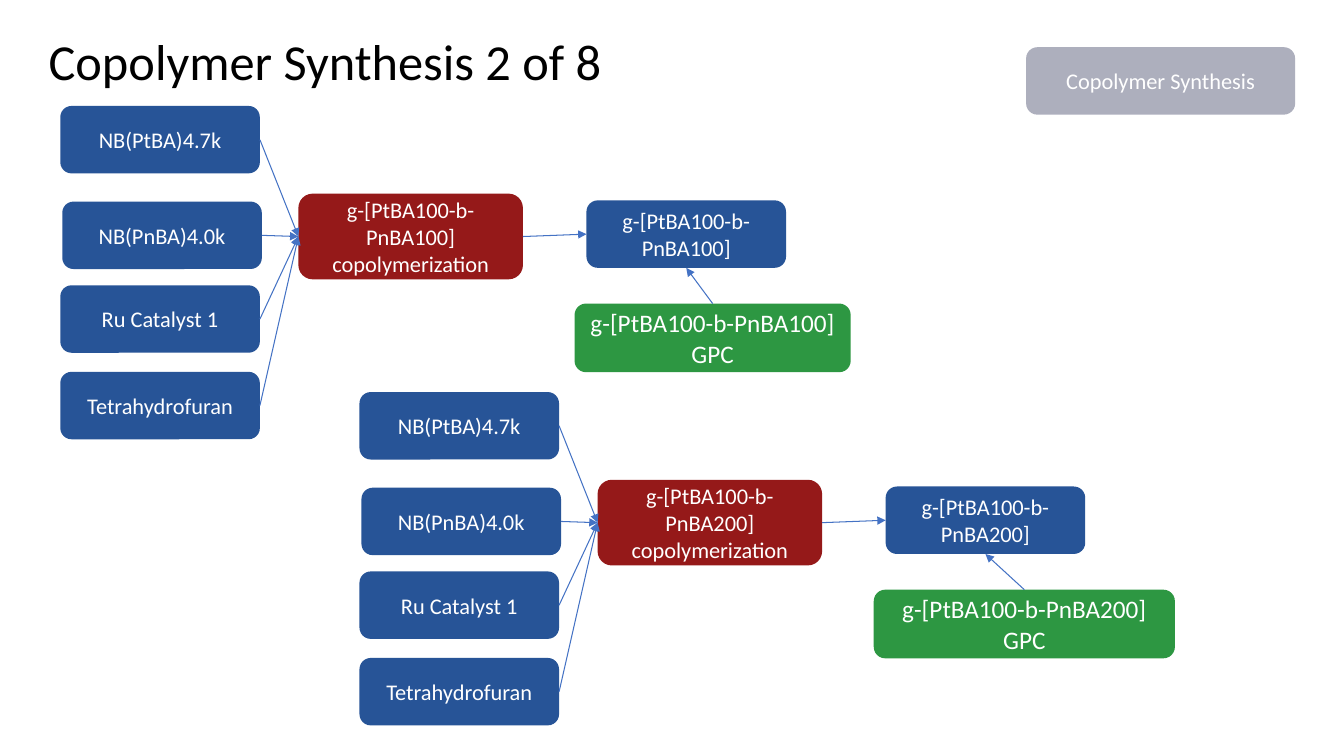
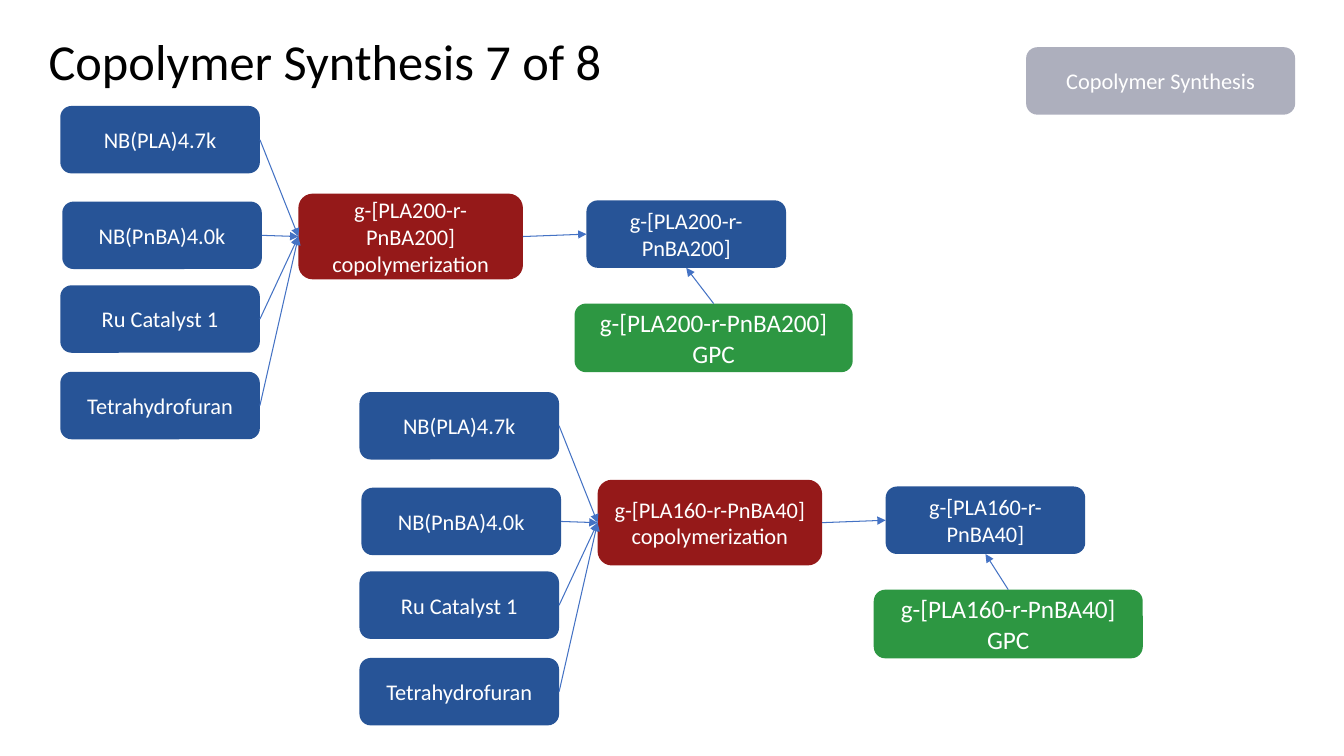
from dataclasses import dataclass

from pptx import Presentation
from pptx.dml.color import RGBColor
from pptx.enum.shapes import MSO_CONNECTOR, MSO_SHAPE
from pptx.enum.text import MSO_ANCHOR, MSO_AUTO_SIZE, PP_ALIGN
from pptx.oxml.ns import qn
from pptx.util import Cm, Pt
from lxml.etree import SubElement


@dataclass(frozen=True)
class Theme:
    font: str = "Calibri"
    ink: str = "000000"
    label: str = "FFFFFF"
    material: str = "275497"
    process: str = "951919"
    measurement: str = "2D9742"
    section: str = "ADAFBD"
    arrow: str = "4472C4"
    title_size: int = 36
    label_size: int = 16
    measurement_size: int = 18
    arrow_width: float = 0.75


THEME = Theme()
TITLE_ONLY = 5
TOP, LEFT, BOTTOM, RIGHT = range(4)

MATERIAL_SIZE = (5.03, 1.7)
PROCESS_SIZE = (5.66, 2.16)
MEASUREMENT_HEIGHT = 1.73
REACTANT_SPOTS = [(1.52, 2.67), (1.57, 5.08), (1.52, 7.19), (1.52, 9.37)]
PROCESS_SPOT = (7.52, 4.88)
PRODUCT_SPOT = (14.78, 5.05)
MEASUREMENT_SPOT = (14.48, 7.65)
SCHEME_STEP = (7.54, 7.21)

SLIDES = [
    ("Copolymer Synthesis 2 of 8", "NB(PtBA)4.7k",
     [("g-[PtBA100-b-PnBA100]", 6.96), ("g-[PtBA100-b-PnBA200]", 7.59)]),
    ("Copolymer Synthesis 7 of 8", "NB(PLA)4.7k",
     [("g-[PLA200-r-PnBA200]", 7.01), ("g-[PLA160-r-PnBA40]", 6.78)]),
]


def style_text(frame, size, color, align):
    for paragraph in frame.paragraphs:
        paragraph.alignment = align
        paragraph.font.name = THEME.font
        paragraph.font.size = Pt(size)
        paragraph.font.color.rgb = RGBColor.from_string(color)


def set_title(slide, text):
    title = slide.shapes.title
    title.left, title.top, title.width, title.height = map(Cm, (0.97, 0.74, 29.21, 1.7))
    frame = title.text_frame
    frame.text = text
    frame.auto_size = MSO_AUTO_SIZE.NONE
    frame.vertical_anchor = MSO_ANCHOR.BOTTOM
    frame.paragraphs[0].line_spacing = 0.9
    style_text(frame, THEME.title_size, THEME.ink, PP_ALIGN.LEFT)


def add_box(slide, text, spot, size, fill, text_size=THEME.label_size):
    box = slide.shapes.add_shape(MSO_SHAPE.ROUNDED_RECTANGLE, *map(Cm, (*spot, *size)))
    box.shadow.inherit = False
    box.fill.solid()
    box.fill.fore_color.rgb = RGBColor.from_string(fill)
    box.line.fill.background()
    frame = box.text_frame
    frame.text = text
    frame.word_wrap = True
    frame.vertical_anchor = MSO_ANCHOR.MIDDLE
    style_text(frame, text_size, THEME.label, PP_ALIGN.CENTER)
    return box


def add_arrow(slide, source, source_side, target, target_side):
    arrow = slide.shapes.add_connector(MSO_CONNECTOR.STRAIGHT, 0, 0, 0, 0)
    arrow.begin_connect(source, source_side)
    arrow.end_connect(target, target_side)
    arrow.line.color.rgb = RGBColor.from_string(THEME.arrow)
    arrow.line.width = Pt(THEME.arrow_width)
    SubElement(arrow.line._get_or_add_ln(), qn("a:tailEnd"), type="triangle")
    SubElement(arrow._element.spPr, qn("a:effectLst"))


def add_scheme(slide, index, macromonomer, copolymer, measurement_width):
    def shifted(spot):
        return tuple(start + index * step for start, step in zip(spot, SCHEME_STEP))

    process = add_box(slide, f"{copolymer}\ncopolymerization", shifted(PROCESS_SPOT),
                      PROCESS_SIZE, THEME.process)
    reactants = [macromonomer, "NB(PnBA)4.0k", "Ru Catalyst 1", "Tetrahydrofuran"]
    for name, spot in zip(reactants, REACTANT_SPOTS):
        reactant = add_box(slide, name, shifted(spot), MATERIAL_SIZE, THEME.material)
        add_arrow(slide, reactant, RIGHT, process, LEFT)

    product = add_box(slide, copolymer, shifted(PRODUCT_SPOT), MATERIAL_SIZE, THEME.material)
    add_arrow(slide, process, RIGHT, product, LEFT)
    measurement = add_box(slide, f"{copolymer}\nGPC", shifted(MEASUREMENT_SPOT),
                          (measurement_width, MEASUREMENT_HEIGHT),
                          THEME.measurement, THEME.measurement_size)
    add_arrow(slide, measurement, TOP, product, BOTTOM)


def main():
    deck = Presentation()
    deck.slide_width, deck.slide_height = Cm(33.87), Cm(19.05)
    for title, macromonomer, schemes in SLIDES:
        slide = deck.slides.add_slide(deck.slide_layouts[TITLE_ONLY])
        set_title(slide, title)
        add_box(slide, "Copolymer Synthesis", (25.86, 1.19), (6.78, 1.7), THEME.section)
        for index, (copolymer, measurement_width) in enumerate(schemes):
            add_scheme(slide, index, macromonomer, copolymer, measurement_width)
    deck.save("out.pptx")


if __name__ == "__main__":
    main()
